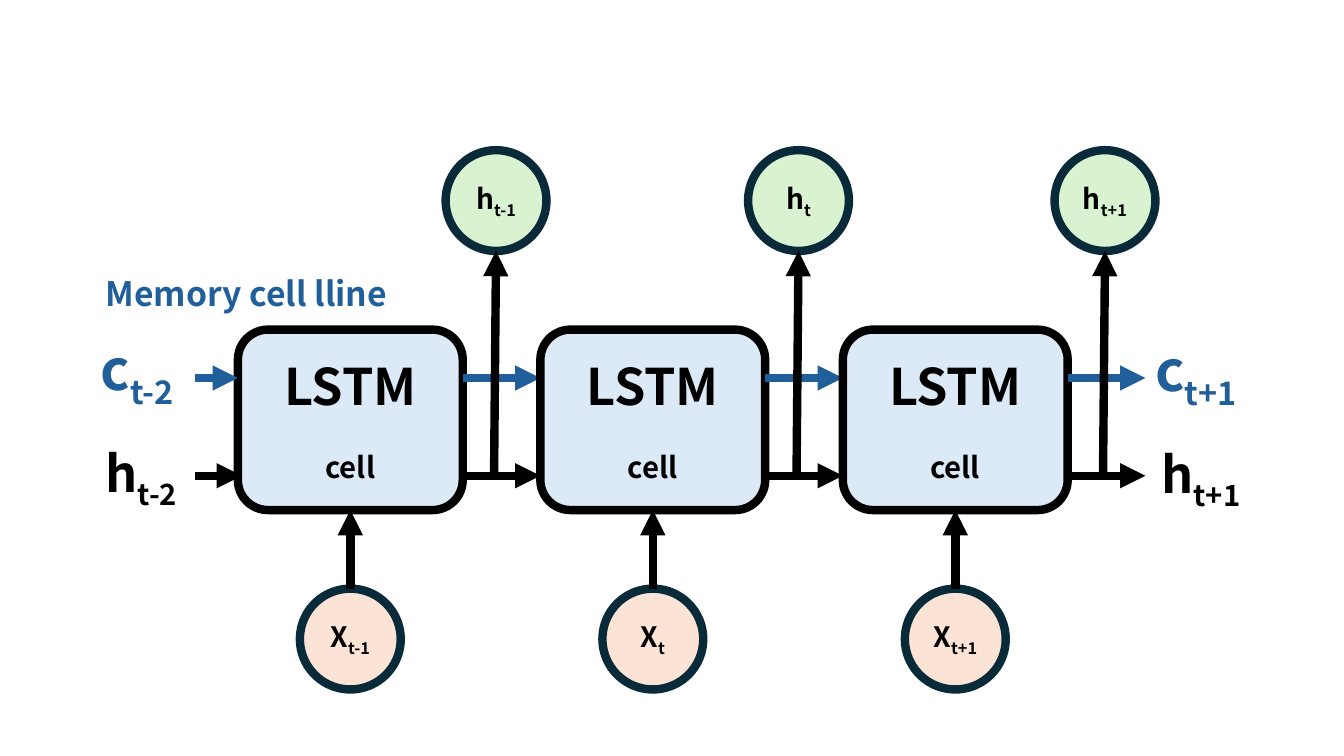
"""Build a slide that shows an LSTM network unrolled over three time steps."""
from lxml.etree import SubElement
from pptx import Presentation
from pptx.dml.color import RGBColor
from pptx.enum.shapes import MSO_CONNECTOR as Connector, MSO_SHAPE as Shape
from pptx.enum.text import MSO_ANCHOR as Anchor, PP_ALIGN as Align
from pptx.oxml.ns import qn
from pptx.util import Inches, Pt

FONT = "Noto Sans CJK KR"
BLACK, BLUE, NAVY = "000000", "215F9A", "092A39"
CELL_FILL, OUTPUT_FILL, INPUT_FILL = "DCEAF7", "D9F2D0", "FBE3D6"
CELL_LEFT, CELL_TOP, CELL_WIDTH, CELL_HEIGHT = 2.36, 3.27, 2.23, 1.79
STEP, GAP, CIRCLE = 3, 0.77, 1
OUTPUT_TOP, INPUT_TOP = 1.49, 5.84
MEMORY_Y, HIDDEN_Y = 3.75, 4.72

deck = Presentation()
deck.slide_width, deck.slide_height = Inches(13.33), Inches(7.5)
page = deck.slides.add_slide(deck.slide_layouts[6])


def add_label(kind, place, lines, size, color=BLACK, fill=None, outline=None):
    """Add a shape, or a text box when kind is None; lines are (text, subscript) pairs."""
    place = [Inches(length) for length in place]
    if kind is None:
        box = page.shapes.add_textbox(*place)
    else:
        box = page.shapes.add_shape(kind, *place)
        box.shadow.inherit = False
        box.fill.solid()
        box.fill.fore_color.rgb = RGBColor.from_string(fill)
        box.line.color.rgb = RGBColor.from_string(outline)
        box.line.width = Pt(6)
        box.text_frame.vertical_anchor = Anchor.MIDDLE
    frame = box.text_frame
    frame.word_wrap = True
    for index, line in enumerate(lines):
        para = frame.add_paragraph() if index else frame.paragraphs[0]
        para.alignment = Align.CENTER if kind else Align.LEFT
        para.font.name, para.font.size, para.font.bold = FONT, Pt(size), True
        para.font.color.rgb = RGBColor.from_string(color)
        for text, baseline in zip(line, ("0", "-25000")):
            if text:
                span = para.add_run()
                span.text = text
                span.font._element.set("baseline", baseline)


def add_arrow(x1, y1, x2, y2, color=BLACK):
    """Add a thick arrow that points at (x2, y2)."""
    ends = [Inches(length) for length in (x1, y1, x2, y2)]
    arrow = page.shapes.add_connector(Connector.STRAIGHT, *ends)
    arrow.line.color.rgb = RGBColor.from_string(color)
    arrow.line.width = Pt(6)
    SubElement(arrow.line._get_or_add_ln(), qn("a:tailEnd"), type="triangle")
    SubElement(arrow._element.spPr, qn("a:effectLst"))


add_label(None, (0.95, 2.66, 3.55, 0.5), [("Memory cell lline", "")], 24, BLUE)
add_label(None, (0.9, 3.27, 1.1, 0.77), [("c", "t-2")], 40, BLUE)
add_label(None, (0.95, 4.34, 1.28, 0.71), [("h", "t-2")], 36)
add_label(None, (11.36, 3.28, 1.28, 0.77), [("c", "t+1")], 40, BLUE)
add_label(None, (11.42, 4.35, 1.28, 0.71), [("h", "t+1")], 36)

steps = [("t-1", 4.42), ("t", 7.42), ("t+1", 10.46)]
for number, (time, output_left) in enumerate(steps):
    left = CELL_LEFT + number * STEP
    right = left + CELL_WIDTH
    center = left + CELL_WIDTH / 2
    output_center = output_left + CIRCLE / 2
    add_label(Shape.ROUNDED_RECTANGLE, (left, CELL_TOP, CELL_WIDTH, CELL_HEIGHT),
              [("LSTM", ""), ("", "cell")], 36, BLACK, CELL_FILL, BLACK)
    add_label(Shape.OVAL, (center - CIRCLE / 2, INPUT_TOP, CIRCLE, CIRCLE),
              [("X", time)], 20, BLACK, INPUT_FILL, NAVY)
    add_label(Shape.OVAL, (output_left, OUTPUT_TOP, CIRCLE, CIRCLE),
              [("h", time)], 20, BLACK, OUTPUT_FILL, NAVY)
    add_arrow(center, INPUT_TOP, center, CELL_TOP + CELL_HEIGHT)
    add_arrow(right, MEMORY_Y, right + GAP, MEMORY_Y, BLUE)
    add_arrow(right, HIDDEN_Y, right + GAP, HIDDEN_Y)
    add_arrow(output_center - 0.02, HIDDEN_Y, output_center, OUTPUT_TOP + CIRCLE)

add_arrow(1.93, MEMORY_Y, CELL_LEFT, MEMORY_Y, BLUE)
add_arrow(1.93, HIDDEN_Y, 2.4, HIDDEN_Y)

deck.save("out.pptx")
